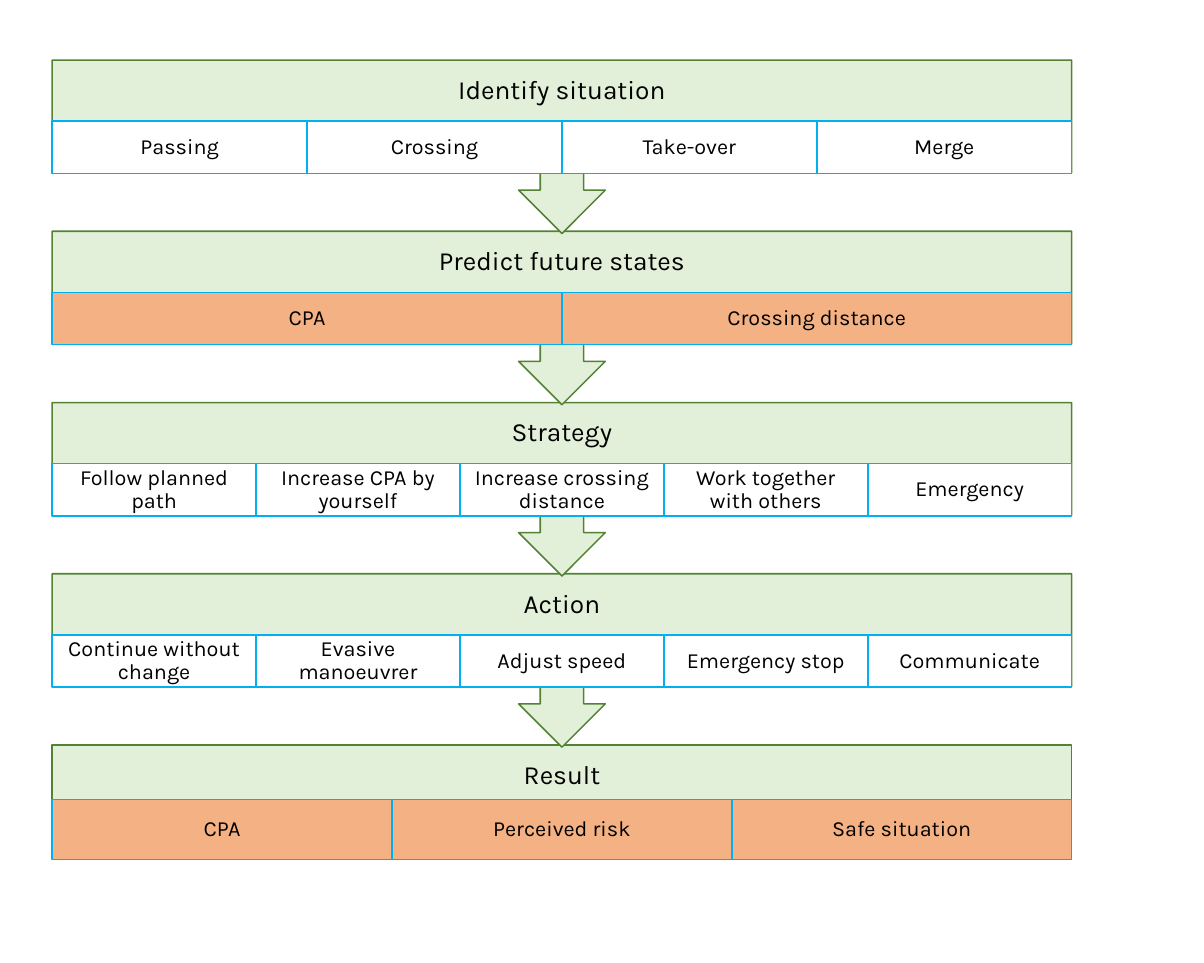
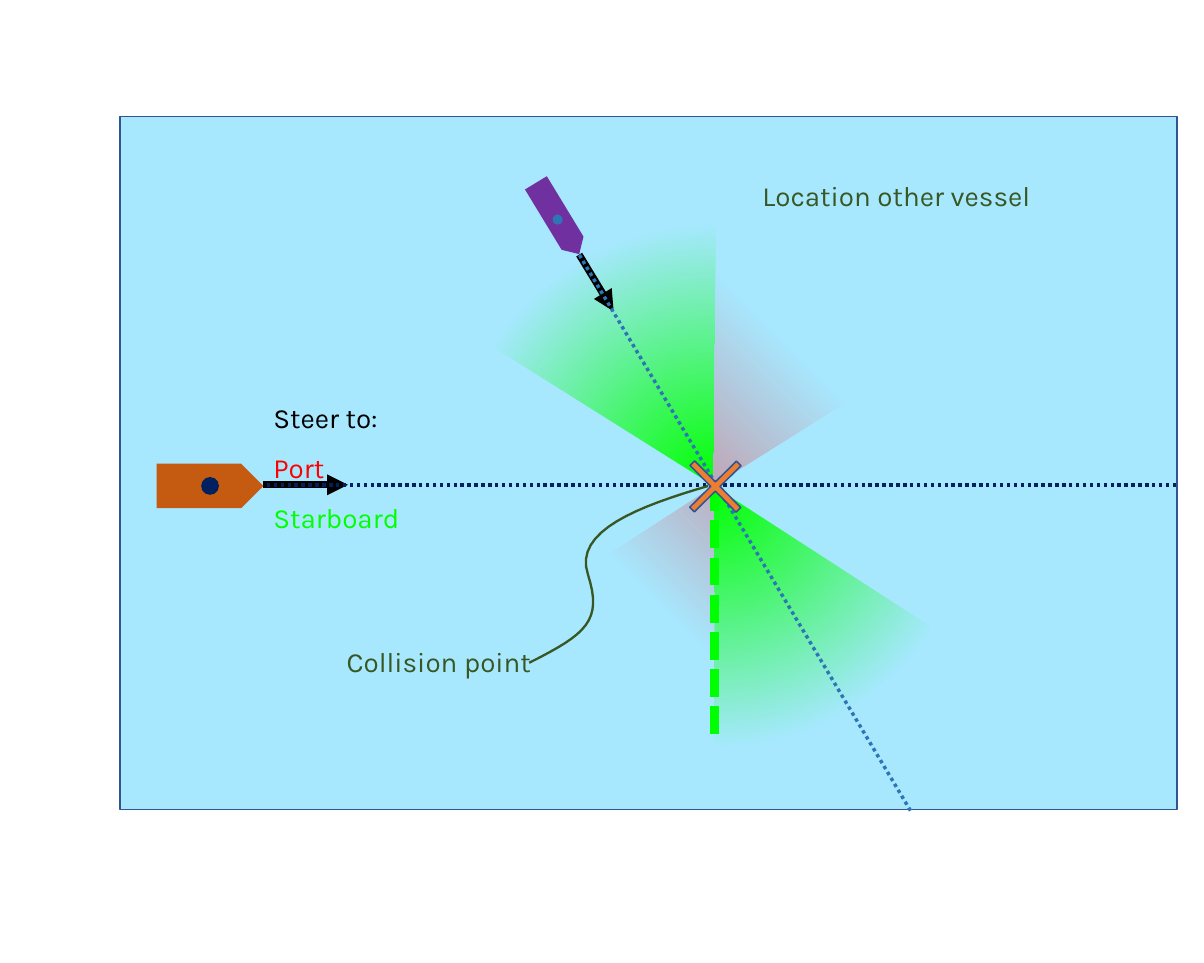
from lxml.etree import SubElement
from pptx import Presentation
from pptx.dml.color import RGBColor
from pptx.enum.dml import MSO_LINE
from pptx.enum.shapes import MSO_CONNECTOR, MSO_SHAPE
from pptx.enum.text import MSO_ANCHOR, MSO_AUTO_SIZE, PP_ALIGN
from pptx.oxml.ns import qn
from pptx.util import Inches, Pt

FONT = "Karla"
BLACK, WHITE, RED, LIME = "000000", "FFFFFF", "FF0000", "00FF00"
MINT, MOSS, FOREST = "E2F0D9", "548235", "385723"
PEACH, CYAN = "F4B183", "00B0F0"
WATER, SHORE = "A7E8FF", "325491"
NAVY, BLUE, RUST, PURPLE, ORANGE = "002060", "2E75B6", "C55A11", "7030A0", "ED7D31"

LEFT, TOP, WIDTH, PITCH = 0.47, 0.54, 9.17, 1.54
STEPS = [
    ("Identify situation", WHITE, ["Passing", "Crossing", "Take-over", "Merge"]),
    ("Predict future states", PEACH, ["CPA", "Crossing distance"]),
    ("Strategy", WHITE, ["Follow planned path", "Increase CPA by yourself",
                         "Increase crossing distance",
                         "Work together with others", "Emergency"]),
    ("Action", WHITE, ["Continue without change", "Evasive manoeuvrer",
                       "Adjust speed", "Emergency stop", "Communicate"]),
    ("Result", PEACH, ["CPA", "Perceived risk", "Safe situation"]),
]

DISC = (4.06, 2.01, 4.72, 4.72)
CENTER, TOP_RIGHT, BOTTOM_LEFT = (50, 50), (100, 0), (0, 100)


def rgb(code):
    return RGBColor.from_string(code)


def bezier(start, control_1, control_2, end, steps=16):
    """Return points along a cubic curve, without its start."""
    points = []
    for step in range(1, steps + 1):
        t = step / steps
        weights = ((1 - t) ** 3, 3 * t * (1 - t) ** 2, 3 * t * t * (1 - t), t ** 3)
        corners = (start, control_1, control_2, end)
        points.append(tuple(Inches(sum(w * corner[axis] for w, corner in zip(weights, corners)))
                            for axis in (0, 1)))
    return points


class Drawing:
    """Holds the deck, its style and the page being drawn."""

    def __init__(self):
        self.deck = Presentation()
        self.deck.slide_width = Inches(10.83)
        self.deck.slide_height = Inches(8.66)
        self.page = None

    def add_page(self):
        self.page = self.deck.slides.add_slide(self.deck.slide_layouts[6])

    def shape(self, kind, at, fill, line=None, rotation=0):
        shape = self.page.shapes.add_shape(kind, *map(Inches, at))
        shape.shadow.inherit = False
        shape.rotation = rotation
        shape.fill.solid()
        shape.fill.fore_color.rgb = rgb(fill)
        if line:
            shape.line.color.rgb = rgb(line)
            shape.line.width = Pt(1)
        else:
            shape.line.fill.background()
        return shape

    def span(self, para, text, size, color):
        span = para.add_run()
        span.text = text
        span.font.name = FONT
        span.font.size = Pt(size)
        span.font.color.rgb = rgb(color)

    def label(self, shape, text, size, insets):
        """Centre text in a shape; insets are left, top, right, bottom."""
        frame = shape.text_frame
        frame.word_wrap = True
        frame.vertical_anchor = MSO_ANCHOR.MIDDLE
        (frame.margin_left, frame.margin_top,
         frame.margin_right, frame.margin_bottom) = map(Inches, insets)
        para = frame.paragraphs[0]
        para.alignment = PP_ALIGN.CENTER
        para.line_spacing = 0.9
        self.span(para, text, size, BLACK)

    def note(self, at, lines, spacing=None):
        """Add a text box with one paragraph per (text, colour) pair."""
        box = self.page.shapes.add_textbox(*map(Inches, at))
        frame = box.text_frame
        frame.word_wrap = True
        frame.auto_size = MSO_AUTO_SIZE.SHAPE_TO_FIT_TEXT
        for index, (text, color) in enumerate(lines):
            para = frame.add_paragraph() if index else frame.paragraphs[0]
            para.line_spacing = spacing
            self.span(para, text, 18, color)

    def line(self, start, end, color, width, dash=None, arrow=False):
        line = self.page.shapes.add_connector(
            MSO_CONNECTOR.STRAIGHT, *map(Inches, start + end))
        line.line.color.rgb = rgb(color)
        line.line.width = Pt(width)
        if dash:
            line.line.dash_style = dash
        if arrow:
            SubElement(line.line._get_or_add_ln(), qn("a:tailEnd"), type="triangle")
        SubElement(line._element.spPr, qn("a:effectLst"))

    def wedge(self, first, last, fill):
        """Draw a sector of the disc, clockwise from first to last degree."""
        wedge = self.shape(MSO_SHAPE.PIE, DISC, fill)
        for index, degrees in enumerate((first, last)):
            wedge.adjustments[index] = degrees * 0.6
        return wedge

    def glow(self, first, last, color, reach, focus):
        """Draw a sector that fades from the focus point into the water."""
        wedge = self.wedge(first, last, color)
        wedge.fill.gradient()
        gradient = wedge._element.spPr.find(qn("a:gradFill"))
        for child in list(gradient):
            gradient.remove(child)
        stops = SubElement(gradient, qn("a:gsLst"))
        for position, code in ((0, color), (reach, WATER)):
            stop = SubElement(stops, qn("a:gs"), pos=str(position * 1000))
            SubElement(stop, qn("a:srgbClr"), val=code)
        circle = SubElement(gradient, qn("a:path"), path="circle")
        x, y = focus
        sides = {"l": x, "t": y, "r": 100 - x, "b": 100 - y}
        SubElement(circle, qn("a:fillToRect"),
                   {side: str(share * 1000) for side, share in sides.items()})

    def curve(self, start, segments, color, width):
        builder = self.page.shapes.build_freeform(*map(Inches, start))
        for segment in segments:
            builder.add_line_segments(bezier(start, *segment), close=False)
            start = segment[-1]
        curve = builder.convert_to_shape()
        curve.shadow.inherit = False
        curve.fill.background()
        curve.line.color.rgb = rgb(color)
        curve.line.width = Pt(width)


def draw_process(drawing):
    drawing.add_page()
    last = len(STEPS) - 1
    # Bottom step first, so that each arrow tip lies over the step below it.
    for index, (title, fill, options) in reversed(list(enumerate(STEPS))):
        top = TOP + index * PITCH
        if index == last:
            kind, height, offset, depth = MSO_SHAPE.RECTANGLE, 1.01, 0.49, 0.54
        else:
            kind, height, offset, depth = MSO_SHAPE.DOWN_ARROW_CALLOUT, 1.56, 0.55, 0.47
        band = drawing.shape(kind, (LEFT, top, WIDTH, height), MINT, MOSS)
        drawing.label(band, title, 17, (0.13, 0.13, 0.13, 0.59))
        width = WIDTH / len(options)
        for column, option in enumerate(options):
            cell = drawing.shape(MSO_SHAPE.RECTANGLE,
                                 (LEFT + column * width, top + offset, width, depth),
                                 fill, CYAN)
            drawing.label(cell, option, 14, (0.11, 0.02, 0.11, 0.02))


def draw_encounter(drawing):
    drawing.add_page()
    drawing.shape(MSO_SHAPE.RECTANGLE, (1.08, 1.05, 9.51, 6.23), WATER, SHORE)
    drawing.glow(270.7, 270.63, LIME, 71, CENTER)
    drawing.glow(89.84, 180.12, RED, 67, TOP_RIGHT)
    drawing.glow(270.53, 327.96, RED, 71, BOTTOM_LEFT)

    own_bow, other_bow = (2.37, 4.36), (5.21, 2.29)
    drawing.shape(MSO_SHAPE.PENTAGON, (1.41, 4.17, 0.96, 0.4), RUST)
    drawing.shape(MSO_SHAPE.OVAL, (1.81, 4.29, 0.16, 0.16), NAVY)
    drawing.line(own_bow, (3.13, 4.36), BLACK, 4.5, arrow=True)
    drawing.shape(MSO_SHAPE.PENTAGON, (4.64, 1.85, 0.75, 0.23), PURPLE, rotation=58.7)
    drawing.shape(MSO_SHAPE.OVAL, (4.97, 1.93, 0.09, 0.09), BLUE)
    drawing.line(other_bow, (5.52, 2.8), BLACK, 4.5, arrow=True)
    drawing.line((6.43, 6.6), (6.43, 4.37), LIME, 6, MSO_LINE.SQUARE_DOT)

    drawing.note((3.02, 5.75, 2.2, 0.4), [("Collision point", FOREST)])
    drawing.note((2.36, 3.4, 1.85, 1.4),
                 [("Steer to:", BLACK), ("Port", RED), ("Starboard", LIME)], 1.5)
    drawing.note((6.76, 1.56, 3.09, 0.4), [("Location other vessel", FOREST)])

    for first, last in ((327.85, 32.92), (147.08, 212.15)):
        drawing.wedge(first, last, WATER)
    drawing.line((10.58, 4.36), own_bow, NAVY, 2.25, MSO_LINE.ROUND_DOT)
    drawing.line((8.19, 7.29), other_bow, BLUE, 2.25, MSO_LINE.ROUND_DOT)
    collision = drawing.shape(MSO_SHAPE.CROSS, (6.14, 4.08, 0.59, 0.59),
                              ORANGE, SHORE, 45.4)
    collision.adjustments[0] = 0.45
    drawing.curve((6.37, 4.37),
                  [((5.76, 4.55), (5.15, 4.77), (5.29, 5.17)),
                   ((5.42, 5.58), (5.28, 5.7), (4.76, 5.96))], FOREST, 1.5)


def main():
    drawing = Drawing()
    draw_process(drawing)
    draw_encounter(drawing)
    drawing.deck.save("out.pptx")


if __name__ == "__main__":
    main()
